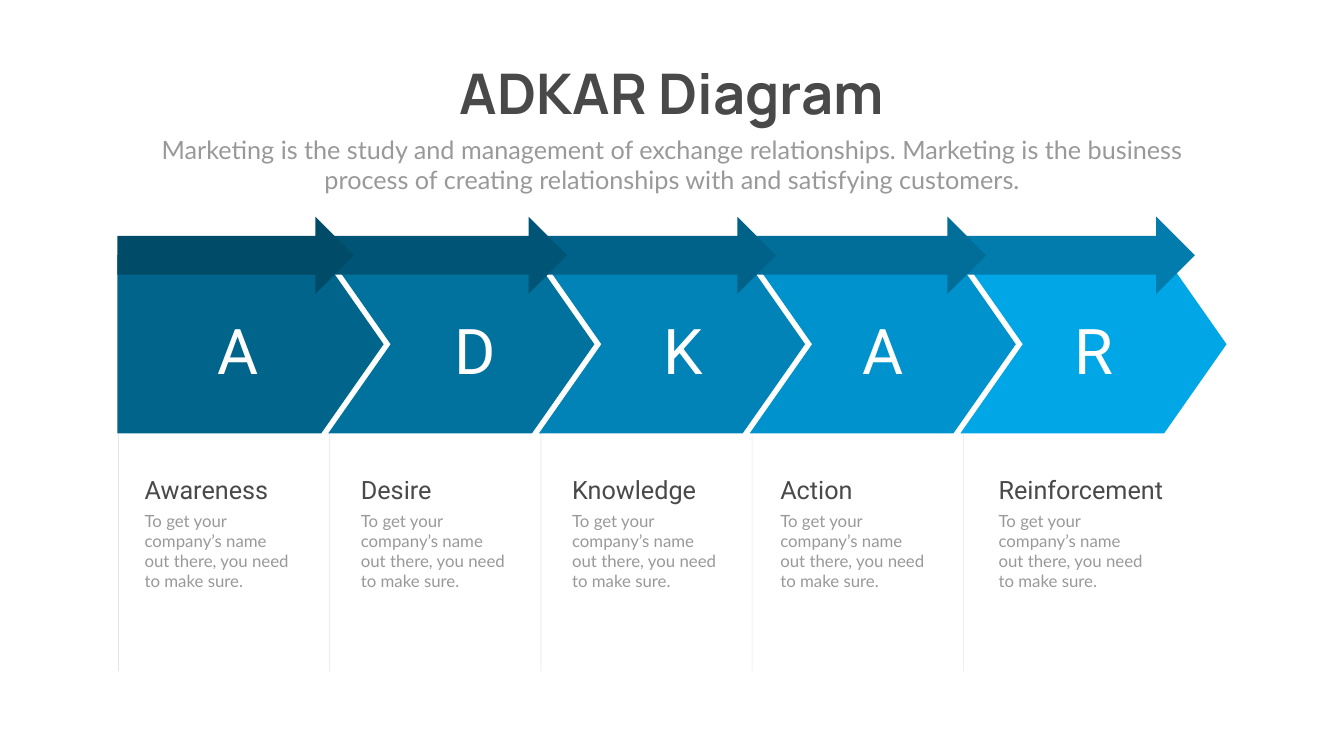
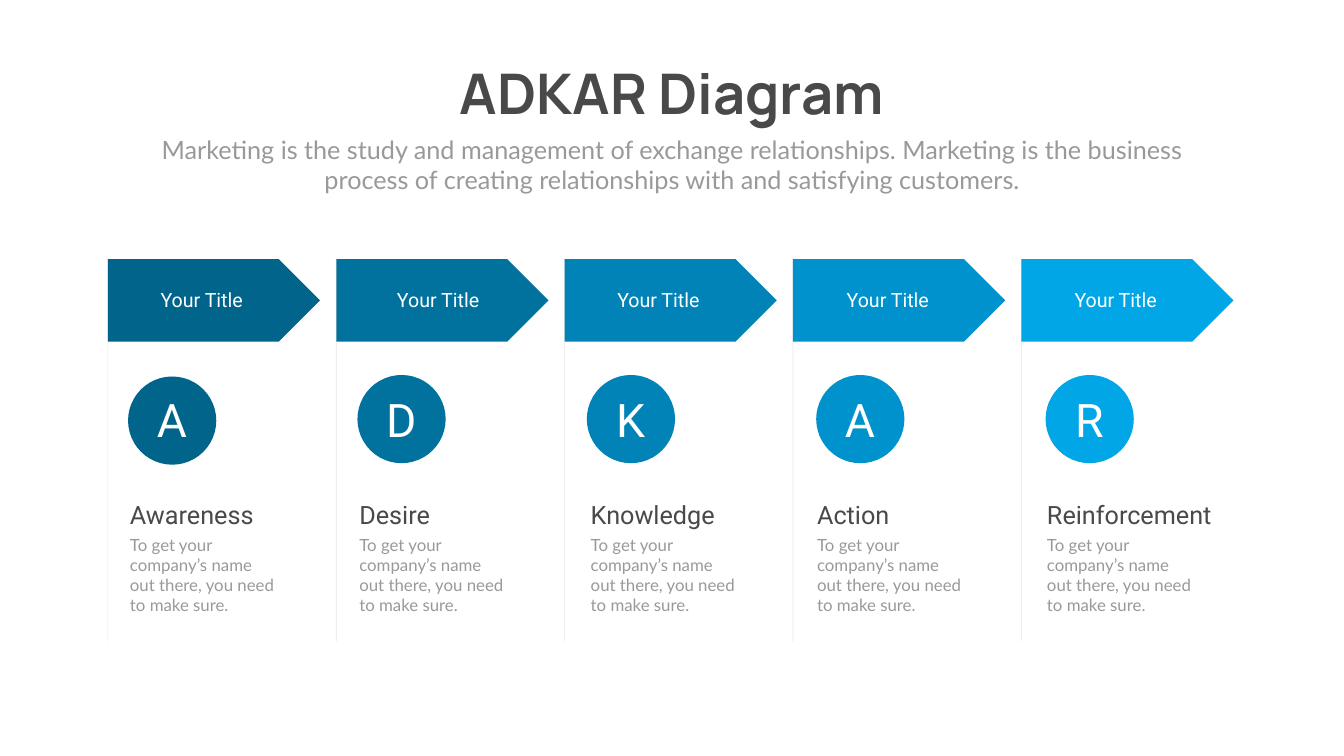
from dataclasses import dataclass

from lxml.etree import SubElement
from pptx import Presentation
from pptx.dml.color import RGBColor
from pptx.enum.shapes import MSO_CONNECTOR, MSO_SHAPE
from pptx.enum.text import MSO_AUTO_SIZE, PP_ALIGN
from pptx.oxml.ns import qn
from pptx.util import Inches, Pt


@dataclass(frozen=True)
class Theme:
    heading_font: str = "Manrope"
    label_font: str = "Roboto"
    body_font: str = "Lato"
    dark: str = "494949"
    grey: str = "999999"
    white: str = "FFFFFF"
    rule: str = "808080"
    rule_opacity: int = 20
    blues: tuple = ("00648B", "00729D", "0183B7", "0092CC", "01A6E7")
    arrow_blues: tuple = ("004B68", "005576", "016289", "006E99", "017CAD")
    title_size: int = 80
    subtitle_size: int = 36
    step_size: int = 36
    body_size: int = 24
    tag_size: int = 28
    big_letter_size: int = 90
    letter_size: int = 66


TITLE = "ADKAR Diagram"
SUBTITLE = ("Marketing is the study and management of exchange relationships. "
            "Marketing is the business process of creating relationships with "
            "and satisfying customers.")
STEPS = ("Awareness", "Desire", "Knowledge", "Action", "Reinforcement")
STEP_TEXT = "To get your company’s name out there, you need to make sure."
TAG = "Your Title"


class Deck:
    """Holds the presentation, its theme and the slide being built."""

    def __init__(self, theme):
        self.theme = theme
        self.prs = Presentation()
        self.prs.slide_width = Inches(26.66)
        self.prs.slide_height = Inches(15)
        self.slide = None

    def new_slide(self):
        self.slide = self.prs.slides.add_slide(self.prs.slide_layouts[6])

    def text(self, text, x, y, w, h, *, size, color, font, bold=False,
             center=False, wrap=True):
        box = self.slide.shapes.add_textbox(Inches(x), Inches(y), Inches(w), Inches(h))
        tf = box.text_frame
        tf.word_wrap = wrap
        tf.auto_size = MSO_AUTO_SIZE.SHAPE_TO_FIT_TEXT
        p = tf.paragraphs[0]
        p.alignment = PP_ALIGN.CENTER if center else PP_ALIGN.LEFT
        r = p.add_run()
        r.text = text
        r.font.name = font
        r.font.size = Pt(size)
        r.font.bold = bold
        r.font.color.rgb = RGBColor.from_string(color)

    def shape(self, kind, x, y, w, h, fill, adjust=None):
        sp = self.slide.shapes.add_shape(kind, Inches(x), Inches(y), Inches(w), Inches(h))
        sp.shadow.inherit = False
        sp.fill.solid()
        sp.fill.fore_color.rgb = RGBColor.from_string(fill)
        sp.line.fill.background()
        if adjust is not None:
            sp.adjustments[0] = adjust

    def column_rule(self, x, top, bottom):
        """Draw a faint vertical line at the left edge of a column."""
        line = self.slide.shapes.add_connector(
            MSO_CONNECTOR.STRAIGHT, Inches(x), Inches(top), Inches(x), Inches(bottom))
        line.line.width = Pt(1)
        line.line.color.rgb = RGBColor.from_string(self.theme.rule)
        sp_pr = line._element.spPr
        color = sp_pr.find(".//" + qn("a:srgbClr"))
        SubElement(color, qn("a:alpha"), val=str(self.theme.rule_opacity * 1000))
        SubElement(sp_pr, qn("a:effectLst"))

    def header(self):
        t = self.theme
        self.text(TITLE, 8.59, 1.12, 9.48, 1.45, size=t.title_size, color=t.dark,
                  font=t.heading_font, bold=True, center=True, wrap=False)
        self.text(SUBTITLE, 2.92, 2.61, 20.82, 1.31, size=t.subtitle_size,
                  color=t.grey, font=t.body_font, center=True)

    def white_label(self, text, x, y, w, h, size):
        self.text(text, x, y, w, h, size=size, color=self.theme.white,
                  font=self.theme.label_font, center=True)

    def step(self, name, x, y):
        """Write a step name with its description below."""
        t = self.theme
        width = 4 if name == "Reinforcement" else 3.26
        self.text(STEP_TEXT, x, y + 0.71, 3.14, 1.72, size=t.body_size,
                  color=t.grey, font=t.body_font)
        self.text(name, x, y, width, 0.71, size=t.step_size, color=t.dark,
                  font=t.label_font)


def chevron_slide(deck):
    t = deck.theme
    letter_lefts = (3.97, 8.68, 12.81, 16.77, 20.95)
    arrow_lefts = (2.33, 6.52, 10.66, 14.83, 18.97)
    step_lefts = (2.77, 7.06, 11.25, 15.38, 19.71)

    deck.new_slide()
    for i, fill in enumerate(t.blues):
        kind = MSO_SHAPE.CHEVRON if i else MSO_SHAPE.PENTAGON
        deck.shape(kind, 2.33 + 4.18 * i, 5.06, 5.28, 3.54, fill, adjust=0.35)
    for name, x in zip(STEPS, letter_lefts):
        deck.white_label(name[0], x, 6.14, 1.49, 1.62, t.big_letter_size)
    # Right to left, so that each arrowhead lies over the next arrow
    for x, fill in reversed(list(zip(arrow_lefts, t.arrow_blues))):
        deck.shape(MSO_SHAPE.RIGHT_ARROW, x, 4.3, 4.73 if x > 3 else 4.69, 1.53, fill)
    for i, (name, x) in enumerate(zip(STEPS, step_lefts)):
        deck.column_rule(2.35 + 4.19 * i, 8.61, 13.32)
        deck.step(name, x, 9.37)
    deck.header()


def circle_slide(deck):
    t = deck.theme
    step_lefts = (2.48, 7.03, 11.62, 16.11, 20.67)
    tag_lefts = (2.37, 7.06, 11.43, 15.98, 20.5)

    deck.new_slide()
    columns = zip(STEPS, t.blues, step_lefts, tag_lefts)
    for i, (name, fill, step_x, tag_x) in enumerate(columns):
        left = 2.14 + 4.53 * i
        circle_x = 2.54 + 4.55 * i
        deck.shape(MSO_SHAPE.PENTAGON, left, 5.14, 4.21, 1.64, fill)
        deck.column_rule(left, 5.14, 12.72)
        deck.step(name, step_x, 9.85)
        deck.shape(MSO_SHAPE.OVAL, circle_x, 7.44 if i else 7.47, 1.75, 1.75, fill)
        deck.white_label(name[0], circle_x + 0.19, 7.71, 1.36, 1.21, t.letter_size)
        deck.white_label(TAG, tag_x, 5.66, 3.26, 0.57, t.tag_size)
    deck.header()


def main():
    deck = Deck(Theme())
    chevron_slide(deck)
    circle_slide(deck)
    deck.prs.save("out.pptx")


if __name__ == "__main__":
    main()
